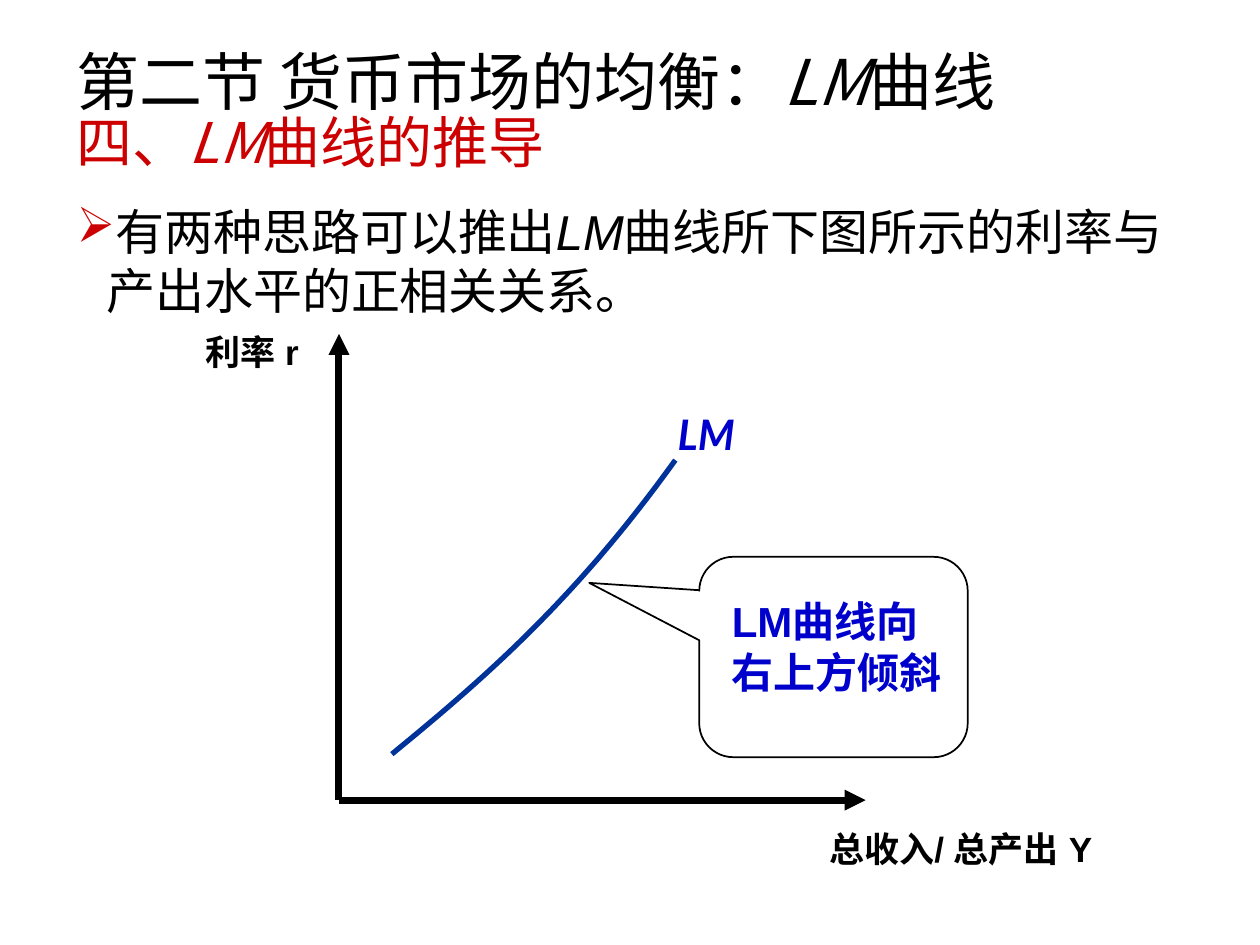
import lxml.etree
import pptx
import pptx.dml.color
import pptx.enum.shapes
import pptx.enum.text
import pptx.oxml.ns
import pptx.util
from pptx.util import Pt

BLACK, RED, BLUE, NAVY = "000000", "CC0000", "0000CC", "003399"
CJK = "Noto Sans CJK SC"


def rgb(value):
    return pptx.dml.color.RGBColor.from_string(value)


def add_child(parent, tag, **attributes):
    return lxml.etree.SubElement(parent, pptx.oxml.ns.qn(tag), attributes)


def add_text_box(slide, box):
    frame = slide.shapes.add_textbox(*map(Pt, box)).text_frame
    frame.word_wrap = True
    return frame


def add_run(paragraph, text, size, color, font="Arial", bold=False, italic=False):
    run = paragraph.add_run()
    run.text = text
    run.font.size = Pt(size)
    run.font.name = font
    run.font.bold = bold
    run.font.italic = italic
    run.font.color.rgb = rgb(color)
    add_child(run._r.get_or_add_rPr(), "a:ea", typeface=font)


def add_label(slide, box, text, size, color, font="Arial", italic=False):
    paragraph = add_text_box(slide, box).paragraphs[0]
    add_run(paragraph, text, size, color, font, bold=True, italic=italic)


def add_heading(slide, box):
    frame = add_text_box(slide, box)
    frame.vertical_anchor = pptx.enum.text.MSO_ANCHOR.MIDDLE
    heading = frame.paragraphs[0]
    heading.line_spacing = 0.85
    add_run(heading, "第二节 货币市场的均衡：", 36, BLACK, CJK)
    add_run(heading, "LM", 36, BLACK, CJK, italic=True)
    add_run(heading, "曲线", 36, BLACK, CJK)
    heading.add_line_break()
    add_run(heading, "四、", 32, RED, CJK)
    add_run(heading, "LM", 32, RED, CJK, italic=True)
    add_run(heading, "曲线的推导", 32, RED, CJK)


def add_statement(slide, box):
    statement = add_text_box(slide, box).paragraphs[0]
    properties = statement._p.get_or_add_pPr()
    properties.set("marL", str(Pt(17)))
    properties.set("indent", str(-Pt(17)))
    add_child(add_child(properties, "a:buClr"), "a:srgbClr", val=RED)
    add_child(properties, "a:buChar", char="➢")
    add_run(statement, "有两种思路可以推出", 28, BLACK)
    add_run(statement, "LM", 28, BLACK, italic=True)
    add_run(statement, "曲线所下图所示的利率与产出水平的正相关关系。", 28, BLACK)


def add_axis(slide, start, end):
    axis = slide.shapes.add_connector(
        pptx.enum.shapes.MSO_CONNECTOR.STRAIGHT, *map(Pt, start + end))
    axis.line.width = Pt(4)
    axis.line.color.rgb = rgb(BLACK)
    outline = axis._element.spPr.find(pptx.oxml.ns.qn("a:ln"))
    add_child(outline, "a:tailEnd", type="triangle")
    add_child(axis._element.spPr, "a:effectLst")


def add_axes(slide, box):
    left, top, width, height = box
    origin = (left, top + height)
    add_axis(slide, origin, (left, top))
    add_axis(slide, origin, (left + width, top + height))
    add_label(slide, (left - 83.5, top - 5.75, 89.3, 31.7), "利率 r", 20, BLACK)
    add_label(slide, (left + width - 28, top + height + 12.25, 171.4, 55.4),
              "总收入/ 总产出 Y", 20, BLACK)


def add_lm_curve(slide, box, steps=30):
    """Draw a cubic Bezier rising from the box's lower left to its upper right."""
    left, top, width, height = box
    controls = [(0, 1), (0.33, 0.74), (0.65, 0.47), (1, 0)]

    def point(t):
        weights = ((1 - t) ** 3, 3 * t * (1 - t) ** 2, 3 * t * t * (1 - t), t ** 3)
        x, y = (sum(w * c[i] for w, c in zip(weights, controls)) for i in (0, 1))
        return Pt(left + width * x), Pt(top + height * y)

    points = [point(step / steps) for step in range(steps + 1)]
    builder = slide.shapes.build_freeform(*points[0])
    builder.add_line_segments(points[1:], close=False)
    curve = builder.convert_to_shape()
    curve.shadow.inherit = False
    curve.fill.background()
    curve.line.color.rgb = rgb(NAVY)
    curve.line.width = Pt(3)
    add_label(slide, (left + width - 5.8, top - 33.2, 59.8, 36), "LM", 24, BLUE,
              "Lato", italic=True)


def add_callout(slide, box):
    left, top, width, height = box
    callout = slide.shapes.add_shape(
        pptx.enum.shapes.MSO_SHAPE.ROUNDED_RECTANGULAR_CALLOUT, *map(Pt, box))
    for index, value in enumerate((-0.91, -0.37, 0.17)):
        callout.adjustments[index] = value
    callout.shadow.inherit = False
    callout.fill.background()
    callout.line.color.rgb = rgb(BLACK)
    callout.line.width = Pt(1)
    add_label(slide, (left + 11.5, top + 18.7, 136.1, 64.8),
              "LM曲线向右上方倾斜", 24, BLUE)


def main():
    presentation = pptx.Presentation()
    presentation.slide_width, presentation.slide_height = Pt(720), Pt(540)
    slide = presentation.slides.add_slide(presentation.slide_layouts[6])
    add_heading(slide, (36.7, 31.7, 648, 67.7))
    add_axes(slide, (193.7, 190.8, 301, 266.4))
    add_lm_curve(slide, (223.9, 262.9, 162, 168))
    add_callout(slide, (399.6, 318.2, 153.4, 114.5))
    add_statement(slide, (36.7, 111.6, 635, 108))
    presentation.save("out.pptx")


if __name__ == "__main__":
    main()
